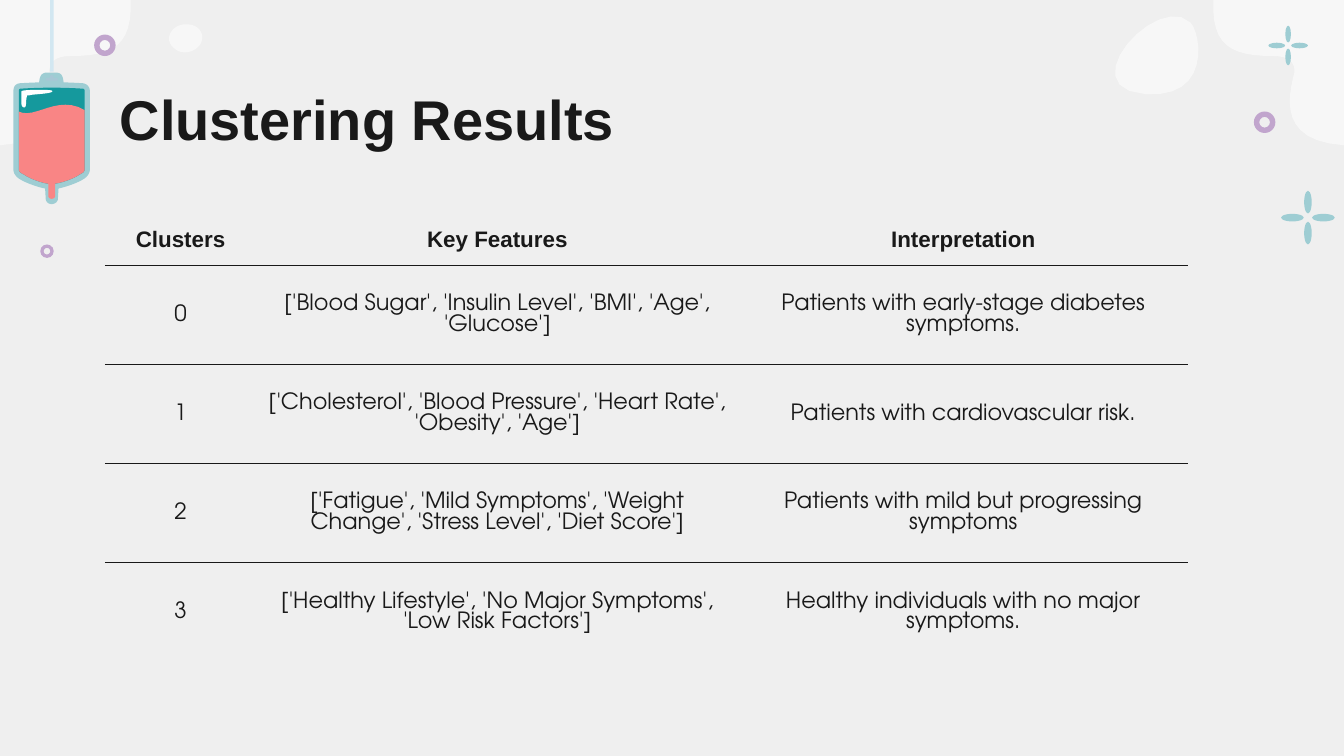
"""Build the clustering results slide."""
from lxml.etree import SubElement, fromstring
from pptx import Presentation
from pptx.dml.color import RGBColor
from pptx.enum.shapes import MSO_SHAPE
from pptx.enum.text import MSO_ANCHOR, MSO_AUTO_SIZE, PP_ALIGN
from pptx.oxml.ns import qn, nsdecls
from pptx.util import Pt

INK, AQUA, LILAC, WHITE = "191919", "9ECDD3", "C1A5CD", "FFFFFF"

deck = Presentation()
deck.slide_width, deck.slide_height = Pt(720), Pt(405)
slide = deck.slides.add_slide(deck.slide_layouts[5])
shapes = slide.shapes


def paint(item, tint, alpha=100):
    """Fill a shape, without line or shadow."""
    item.fill.solid()
    item.fill.fore_color.rgb = RGBColor.from_string(tint)
    if alpha < 100:
        node = item.fill._xPr.find(".//" + qn("a:srgbClr"))
        SubElement(node, qn("a:alpha"), val=str(alpha * 1000))
    item.line.fill.background()
    item.shadow.inherit = False


def draw(start, parts, tint, alpha=100, flip=False):
    """Draw a closed outline from lines (x, y) and Bezier curves (six values)."""
    dots = [start]
    for part in parts:
        if len(part) == 2:
            dots.append(part)
            continue
        a, b, c, d = dots[-1], part[:2], part[2:4], part[4:]
        for step in range(1, 13):
            t = step / 12
            u = 1 - t
            dots.append(tuple(
                u**3 * a[i] + 3 * u * u * t * b[i] + 3 * u * t * t * c[i] + t**3 * d[i]
                for i in (0, 1)))
    dots = [(Pt(720 - x if flip else x), Pt(y)) for x, y in dots]
    pen = shapes.build_freeform(*dots[0])
    pen.add_line_segments(dots[1:], close=True)
    paint(pen.convert_to_shape(), tint, alpha)


back = slide.background.fill
back.solid()
back.fore_color.rgb = RGBColor.from_string("EFEFEF")

for flip in (False, True):
    draw((70, 0), [(71, 24.5, 60.5, 30, 38, 30), (29, 30, 26, 34, 26.6, 39),
                   (30, 52.5, 35, 75.6, 0, 77.8), (0, 0)], WHITE, 52, flip)
draw((613.4, 50.4), [(648.7, 53.3, 643.7, 18.7, 637.9, 12.2),
                     (620.6, -5, 572.4, 47.5, 613.4, 50.4)], WHITE, 52)
draw((94.3, 26.6), [(99.4, 30.2, 106.6, 26.6, 108, 22.3),
                    (110.2, 14.4, 101.5, 11.5, 95.8, 13.7),
                    (90.7, 15.8, 87.8, 22.3, 94.3, 26.6)], WHITE, 52)

for x, y, size in [(677.5, 65.5, 11.5), (25.2, 134.6, 7.2), (56.2, 24.3, 11.5)]:
    ring = shapes.add_shape(MSO_SHAPE.DONUT, Pt(x - size / 2), Pt(y - size / 2),
                            Pt(size), Pt(size))
    ring.adjustments[0] = 0.25
    paint(ring, LILAC)

base = [(10.1, 92.2, 11.5, 92.9, 13, 93.6), (15.8, 95.8, 23.8, 98.6, 27.4, 98.6),
        (31.7, 98.6, 39.6, 95.8, 42.5, 93.6), (43.9, 92.9, 45.4, 92.2, 45.4, 90.7)]
tube = shapes.add_shape(MSO_SHAPE.RECTANGLE, Pt(26.8), 0, Pt(2), Pt(38.5))
paint(tube, "D2E7F1")
spout = [(24.5, 108, 25.9, 109.4, 27.6, 109.4), (29.5, 109.4, 31, 108, 31, 106.6),
         (31.7, 95), (23.8, 95)]
draw((24.5, 106.6), spout, AQUA)
cap = [(23.8, 38.9, 20.9, 38.2, 20.9, 46.1), (20.9, 53.3),
       (23, 57, 32, 57, 34.2, 53.3), (34.2, 46.8), (34.2, 38.2, 31.7, 38.9, 27.6, 38.9)]
draw((27.6, 38.9), cap, AQUA)
bag = [(33.1, 43.9, 22.3, 43.9, 11.5, 44.6), (8.6, 44.6, 7.2, 46.1, 7.2, 49),
       (7.2, 90.7), (7.2, 92.9, 8.6, 95, 11.5, 96.5),
       (15.1, 98.6, 23.8, 101.5, 27.6, 101.5), (31.7, 101.5, 40.3, 98.6, 43.9, 96.5),
       (46.8, 95, 48.2, 92.9, 48.2, 90.7), (48.2, 49), (48.2, 46.1, 46.1, 44.6, 43.9, 44.6)]
draw((43.9, 44.6), bag, AQUA)
draw((43.9, 47.5), [(33.1, 46.8, 22.3, 46.8, 11.5, 47.5), (10.8, 47.5, 10.1, 47.5, 10.1, 49),
                    (10.1, 90.7), *base, (45.4, 49),
                    (45.4, 47.5, 44.6, 47.5, 43.9, 47.5)], "15999D")
draw((45.4, 59), [(31, 50.4, 18.7, 64.1, 10.1, 59.8), (10.1, 90.7), *base], "F98585")
draw((29.5, 96.5), [(25.9, 96.5), (25.9, 105.1), (25.9, 107, 29.5, 107, 29.5, 105.1)], "F98585")
draw((30.2, 41.8), [(28.8, 41.8), (28.8, 39.8, 26.6, 39.8, 26.6, 41.8), (25.2, 41.8),
                    (24.2, 41.8, 24.2, 43.2, 25.2, 43.2), (30.2, 43.2),
                    (31.2, 43.2, 31.2, 41.8, 30.2, 41.8)], "A7C7D5")
draw((28.1, 49), [(27.4, 50.4, 18, 50.4, 15.8, 51.1), (14.4, 51.1, 14.4, 51.1, 14.4, 51.8),
                  (13.7, 54, 14.4, 57.6, 13, 57.6), (10.8, 57.6, 11.5, 53.3, 11.5, 51.1),
                  (11.5, 49), (12.2, 48.2, 17.3, 48.2, 21.6, 48.2),
                  (25.2, 48.2, 28.1, 48.2, 28.1, 49)], WHITE)

for x, y, size in [(690.1, 24.4, 9), (700.7, 116.6, 12.2)]:
    gap, thin = size * 0.68, size / 3
    for dx, dy in [(0, -1), (1, 0), (0, 1), (-1, 0)]:
        wide, high = (size, thin) if dx else (thin, size)
        petal = shapes.add_shape(MSO_SHAPE.OVAL, Pt(x + dx * gap - wide / 2),
                                 Pt(y + dy * gap - high / 2), Pt(wide), Pt(high))
        paint(petal, AQUA)

rows = [
    ("Clusters", "Key Features", "Interpretation"),
    ("0", "['Blood Sugar', 'Insulin Level', 'BMI', 'Age', 'Glucose']",
     "Patients with early-stage diabetes symptoms."),
    ("1", "['Cholesterol', 'Blood Pressure', 'Heart Rate', 'Obesity', 'Age']",
     "Patients with cardiovascular risk."),
    ("2", "['Fatigue', 'Mild Symptoms', 'Weight Change', 'Stress Level', 'Diet Score']",
     "Patients with mild but progressing symptoms"),
    ("3", "['Healthy Lifestyle', 'No Major Symptoms', 'Low Risk Factors']",
     "Healthy individuals with no major symptoms."),
]
table = shapes.add_table(5, 3, Pt(56.2), Pt(114.2), Pt(580.3), Pt(240.4)).table
table.first_row = table.horz_banding = False
for col, wide in zip(table.columns, (81.1, 258.3, 240.9)):
    col.width = Pt(wide)
for r, row in enumerate(rows):
    table.rows[r].height = Pt(53.1 if r else 28)
    for c, text in enumerate(row):
        cell = table.cell(r, c)
        cell.text = text
        cell.vertical_anchor = MSO_ANCHOR.MIDDLE
        cell.margin_left = cell.margin_right = Pt(3.6)
        cell.margin_top = cell.margin_bottom = Pt(3.6)
        cell.fill.background()
        para = cell.text_frame.paragraphs[0]
        para.alignment = PP_ALIGN.CENTER
        font = para.font
        font.name = "TeX Gyre Adventor" if r else "Arial"
        font.size, font.bold = Pt(12), r == 0
        font.color.rgb = RGBColor.from_string(INK)
        lines = {"L": False, "R": False, "T": r > 0, "B": r < 4}
        for i, (side, shown) in enumerate(lines.items()):
            fill = (f'<a:solidFill><a:srgbClr val="{INK}"/></a:solidFill>'
                    if shown else "<a:noFill/>")
            edge = f'<a:ln{side} {nsdecls("a")} w="{Pt(0.75)}">{fill}</a:ln{side}>'
            cell._tc.get_or_add_tcPr().insert(i, fromstring(edge))

title = shapes.title
title.left, title.top, title.width, title.height = Pt(56.9), Pt(35.3), Pt(607), Pt(45.4)
frame = title.text_frame
frame.text = "Clustering Results"
frame.auto_size = MSO_AUTO_SIZE.NONE
frame.vertical_anchor = MSO_ANCHOR.TOP
frame.margin_left = frame.margin_right = frame.margin_bottom = Pt(7.2)
frame.margin_top = Pt(10)
head = frame.paragraphs[0]
head.alignment = PP_ALIGN.LEFT
head.font.name, head.font.size, head.font.bold = "Arial", Pt(30), True
head.font.color.rgb = RGBColor.from_string(INK)

deck.save("out.pptx")
